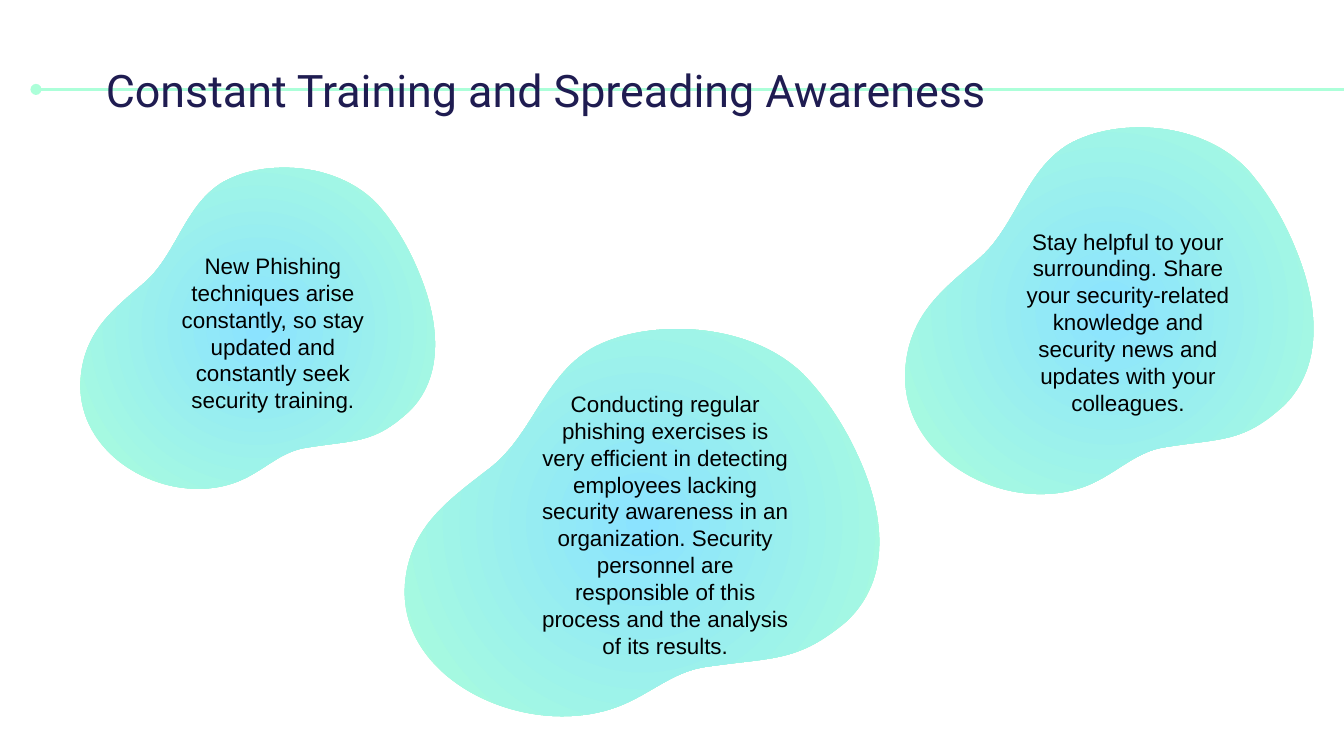
"""Build a slide with three awareness messages on gradient blobs."""
from lxml import etree
from pptx import Presentation, util as u
from pptx.dml.color import RGBColor
from pptx.enum import shapes, text
from pptx.oxml.ns import qn

NAVY = RGBColor(0x1F, 0x1C, 0x51)
BLACK = RGBColor(0, 0, 0)
SKY = RGBColor(0x8B, 0xE3, 0xFF)
MINT = RGBColor(0xAC, 0xFF, 0xD9)

BLOB_SIZE = 1000
BLOB_START = (570, 0)
BLOB_CURVES = [
    ((511, 0), (454, 14), (406, 45)),
    ((304, 115), (282, 271), (196, 358)),
    ((116, 438), (43, 503), (27, 635)),
    ((0, 851), (175, 1000), (339, 1000)),
    ((382, 1000), (425, 990), (462, 969)),
    ((519, 938), (565, 882), (629, 872)),
    ((761, 847), (809, 861), (906, 757)),
    ((1000, 646), (984, 476), (930, 326)),
    ((901, 243), (860, 167), (820, 115)),
    ((758, 38), (664, 0), BLOB_START),
]
MESSAGES = [
    ((1.35, 3.17, 7.06, 6.07), (2.9, 4.64, 4.52, 3.84),
     "New Phishing techniques arise constantly, so stay updated and "
     "constantly seek security training."),
    ((7.42, 6.22, 9.45, 7.32), (9.92, 7.25, 5.31, 5.38),
     "Conducting regular phishing exercises is very efficient in detecting "
     "employees lacking security awareness in an organization. Security "
     "personnel are responsible of this process and the analysis of its results."),
    ((16.91, 2.41, 8.13, 6.93), (19.06, 4.18, 4.52, 3.84),
     "Stay helpful to your surrounding. Share your security-related knowledge "
     "and security news and updates with your colleagues."),
]


def write(shape, words, color, frame_format, paragraph_format, font_format):
    frame = shape.text_frame
    frame.text = words
    paragraph = frame.paragraphs[0]
    font = paragraph.runs[0].font
    font.color.rgb = color
    for target, values in ((frame, frame_format), (paragraph, paragraph_format),
                           (font, font_format)):
        for name, value in values.items():
            setattr(target, name, value)


def add_blob(slide, left, top, width, height):
    builder = slide.shapes.build_freeform(*BLOB_START)
    builder.add_line_segments([curve[-1] for curve in BLOB_CURVES], close=True)
    blob = builder.convert_to_shape()
    blob.left, blob.top, blob.width, blob.height = map(u.Cm, (left, top, width, height))
    outline = next(blob._element.iter(qn("a:path")))
    outline.set("w", str(BLOB_SIZE))
    outline.set("h", str(BLOB_SIZE))
    for child in list(outline):
        outline.remove(child)
    commands = [("a:moveTo", [BLOB_START])]
    commands += [("a:cubicBezTo", curve) for curve in BLOB_CURVES]
    for tag, points in commands + [("a:close", [])]:
        command = etree.SubElement(outline, qn(tag))
        for x, y in points:
            etree.SubElement(command, qn("a:pt"), x=str(x), y=str(y))
    blob.shadow.inherit = False
    blob.line.fill.background()
    blob.fill.gradient()
    for stop, color, position in zip(blob.fill.gradient_stops, (SKY, MINT), (0, 1)):
        stop.color.rgb = color
        stop.position = position
    gradient = blob._element.spPr.find(qn("a:gradFill"))
    gradient.remove(gradient.find(qn("a:lin")))
    circle = etree.SubElement(gradient, qn("a:path"), path="circle")
    etree.SubElement(circle, qn("a:fillToRect"), l="50000", t="50000", r="50000", b="50000")


presentation = Presentation()
presentation.slide_width = u.Cm(25.4)
presentation.slide_height = u.Cm(14.29)
slide = presentation.slides.add_slide(presentation.slide_layouts[5])

rule = slide.shapes.add_connector(
    shapes.MSO_CONNECTOR.STRAIGHT, u.Cm(0.68), u.Cm(1.69), u.Cm(25.65), u.Cm(1.69))
rule.line.color.rgb = MINT
rule.line.width = u.Pt(1.5)
etree.SubElement(rule.line._get_or_add_ln(), qn("a:headEnd"), type="oval")
etree.SubElement(rule._element.spPr, qn("a:effectLst"))

title = slide.shapes.title
slide.shapes._spTree.append(title._element)
title.left, title.top, title.width, title.height = map(u.Cm, (1.75, 0.94, 18.36, 1.5))
inset = u.Cm(0.25)
write(title, "Constant Training and Spreading Awareness", NAVY,
      {"margin_left": inset, "margin_top": inset, "margin_right": inset,
       "margin_bottom": inset, "vertical_anchor": text.MSO_ANCHOR.TOP,
       "word_wrap": True, "auto_size": text.MSO_AUTO_SIZE.NONE},
      {"alignment": text.PP_ALIGN.LEFT, "line_spacing": 1.0, "space_before": u.Pt(0)},
      {"name": "Roboto", "size": u.Pt(24)})

for blob_box, text_box, words in MESSAGES:
    add_blob(slide, *blob_box)
    message = slide.shapes.add_textbox(*map(u.Cm, text_box))
    write(message, words, BLACK,
          {"word_wrap": True, "auto_size": text.MSO_AUTO_SIZE.SHAPE_TO_FIT_TEXT},
          {"alignment": text.PP_ALIGN.CENTER},
          {"name": "Arial", "size": u.Pt(12)})

presentation.save("out.pptx")
